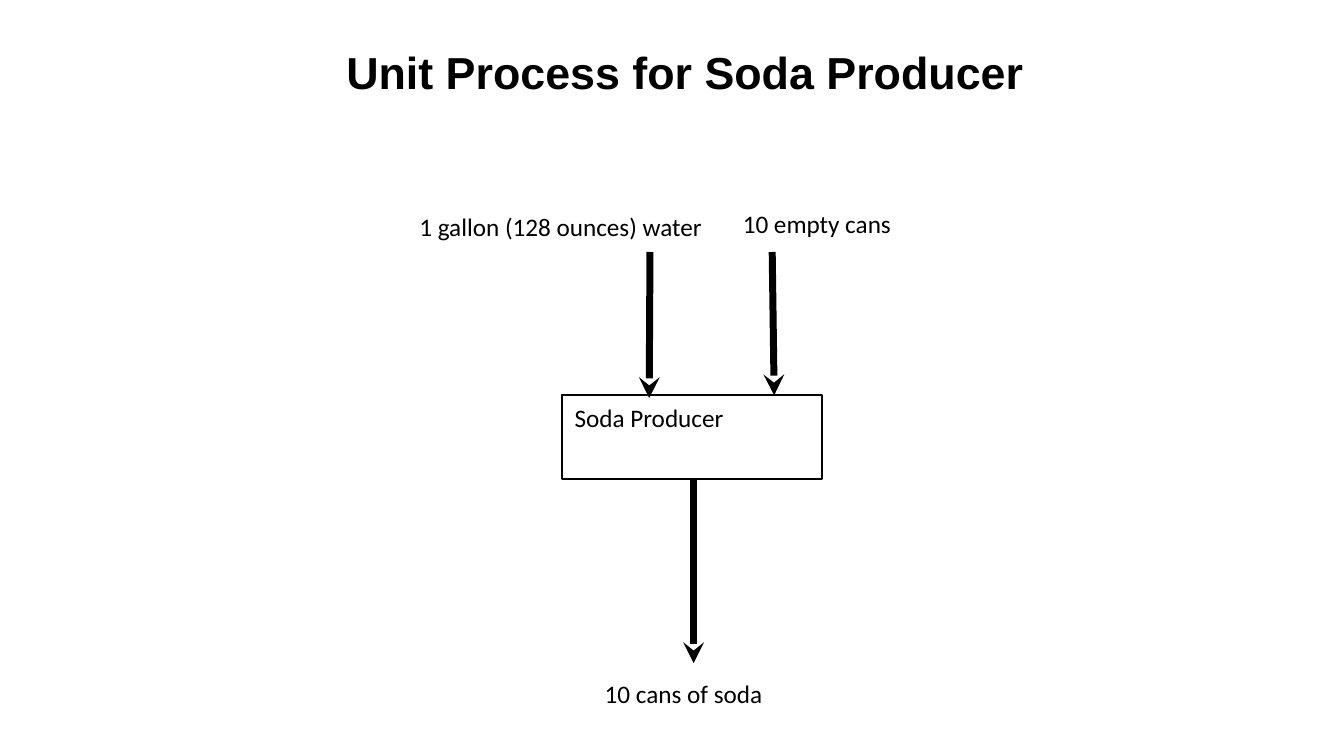
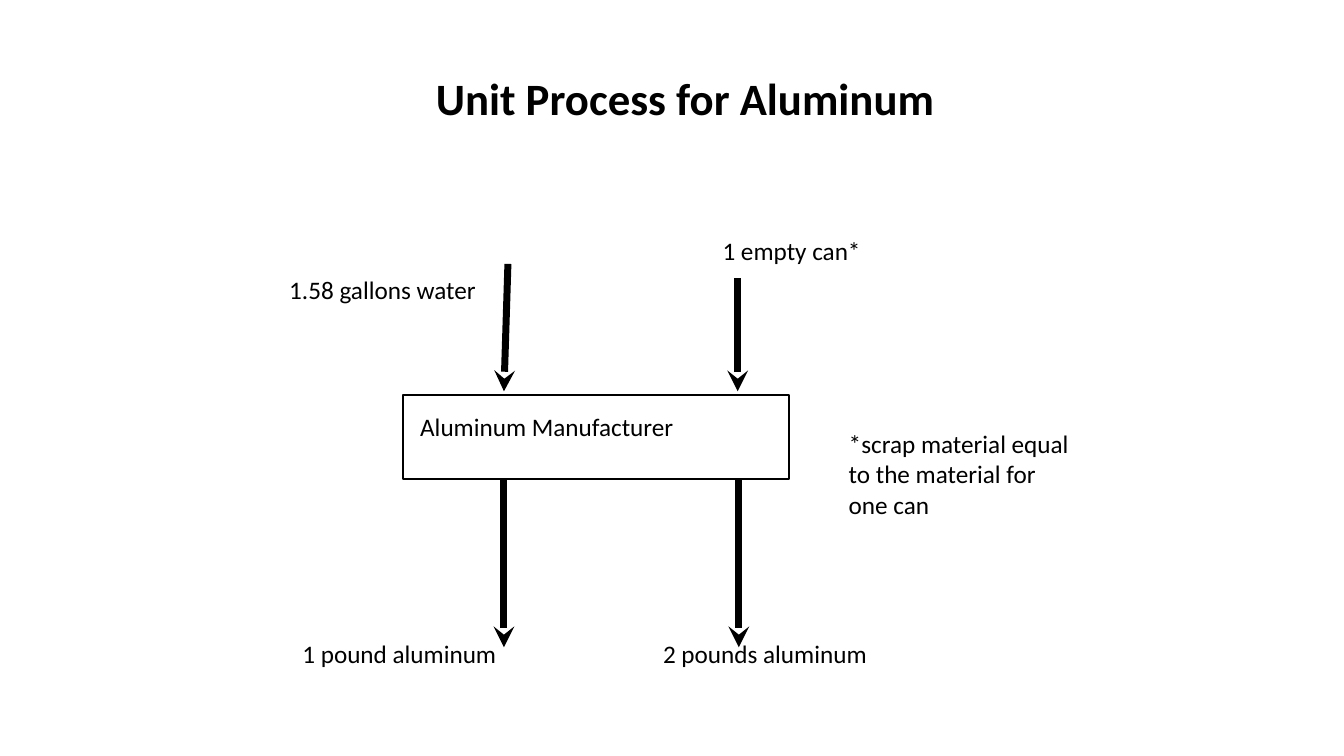
"""Build two unit process diagrams: a soda producer and an aluminum maker."""
from dataclasses import dataclass

from lxml.etree import SubElement
from pptx import Presentation
from pptx.dml.color import RGBColor as RGB
from pptx.enum.shapes import MSO_CONNECTOR as Link, MSO_SHAPE as Form
from pptx.enum.text import MSO_ANCHOR as Anchor, PP_ALIGN as Align
from pptx.oxml.ns import qn
from pptx.util import Cm, Pt


@dataclass(frozen=True)
class Theme:
    ink: RGB = RGB(0, 0, 0)
    font: str = "Calibri"
    head: int = 32
    body: int = 18
    edge: float = 1.54
    arrow: float = 5


THEME = Theme()
WIDE, HIGH = 33.87, 19.05
LEFT, SPAN, RISE = 5.94, 22.66, 2.74
TOP, DEEP = 9.96, 2.11
BASE = TOP + DEEP
LINE = 0.76

SLIDES = [
    {
        "title": "Unit Process for Soda Producer",
        "font": "Arial",
        "top": 0.43,
        "box": (14.17, 6.55),
        "labels": [
            ("Soda Producer", 14.48, 10.13, 3.78),
            ("10 cans of soda", 15.24, 17.09, 4.01),
            ("1 gallon (128 ounces) water", 10.57, 5.33, 7.21),
            ("10 empty cans", 18.72, 5.26, 3.78),
        ],
        "notes": [],
        "arrows": [
            (16.38, 6.35, 16.36, 10.03),
            (19.46, 6.35, 19.51, TOP),
            (17.48, BASE, 17.48, 16.71),
        ],
    },
    {
        "title": "Unit Process for Aluminum",
        "font": THEME.font,
        "top": 1.09,
        "box": (10.16, 9.73),
        "labels": [
            ("Aluminum Manufacturer", 10.59, 10.36, 6.45),
            ("1 pound aluminum", 7.62, 16.08, 4.95),
            ("1.58 gallons water", 7.29, 6.91, 4.75),
            ("1 empty can*", 18.21, 5.92, 3.53),
            ("2 pounds aluminum", 16.71, 16.08, 5.21),
        ],
        "notes": [
            (["*scrap material equal", "to the material for", "one can"],
             21.39, 10.8, 10.62, 2.46),
        ],
        "arrows": [
            (12.8, 6.65, 12.7, 9.86),
            (18.59, 7.01, 18.59, 9.86),
            (18.62, BASE, 18.62, 16.31),
            (12.7, BASE, 12.7, 16.31),
        ],
    },
]


def write(slide, lines, x, y, w, h, *, font=THEME.font, size=THEME.body,
          bold=False, align=Align.LEFT, anchor=Anchor.TOP, wrap=False):
    frame = slide.shapes.add_textbox(Cm(x), Cm(y), Cm(w), Cm(h)).text_frame
    frame.word_wrap = wrap
    frame.vertical_anchor = anchor
    frame.margin_left = frame.margin_right = 0
    frame.margin_top = frame.margin_bottom = 0
    frame.text = "\n".join(lines)
    for para in frame.paragraphs:
        para.alignment = align
        para.font.name = font
        para.font.size = Pt(size)
        para.font.bold = bold
        para.font.color.rgb = THEME.ink


def frame_box(slide, x, w):
    box = slide.shapes.add_shape(Form.RECTANGLE, Cm(x), Cm(TOP), Cm(w), Cm(DEEP))
    box.shadow.inherit = False
    box.fill.background()
    box.line.color.rgb = THEME.ink
    box.line.width = Pt(THEME.edge)


def draw_arrow(slide, *ends):
    arrow = slide.shapes.add_connector(Link.STRAIGHT, *map(Cm, ends))
    arrow.line.color.rgb = THEME.ink
    arrow.line.width = Pt(THEME.arrow)
    SubElement(arrow.line._get_or_add_ln(), qn("a:tailEnd"), type="stealth")
    SubElement(arrow._element.spPr, qn("a:effectLst"))


def build(deck, data):
    slide = deck.slides.add_slide(deck.slide_layouts[6])
    write(slide, [data["title"]], LEFT, data["top"], SPAN, RISE,
          font=data["font"], size=THEME.head, bold=True,
          align=Align.CENTER, anchor=Anchor.MIDDLE, wrap=True)
    frame_box(slide, *data["box"])
    for text, x, y, w in data["labels"]:
        write(slide, [text], x, y, w, LINE)
    for lines, *place in data["notes"]:
        write(slide, lines, *place, wrap=True)
    for ends in data["arrows"]:
        draw_arrow(slide, *ends)


def main():
    deck = Presentation()
    deck.slide_width, deck.slide_height = Cm(WIDE), Cm(HIGH)
    for data in SLIDES:
        build(deck, data)
    deck.save("out.pptx")


if __name__ == "__main__":
    main()
